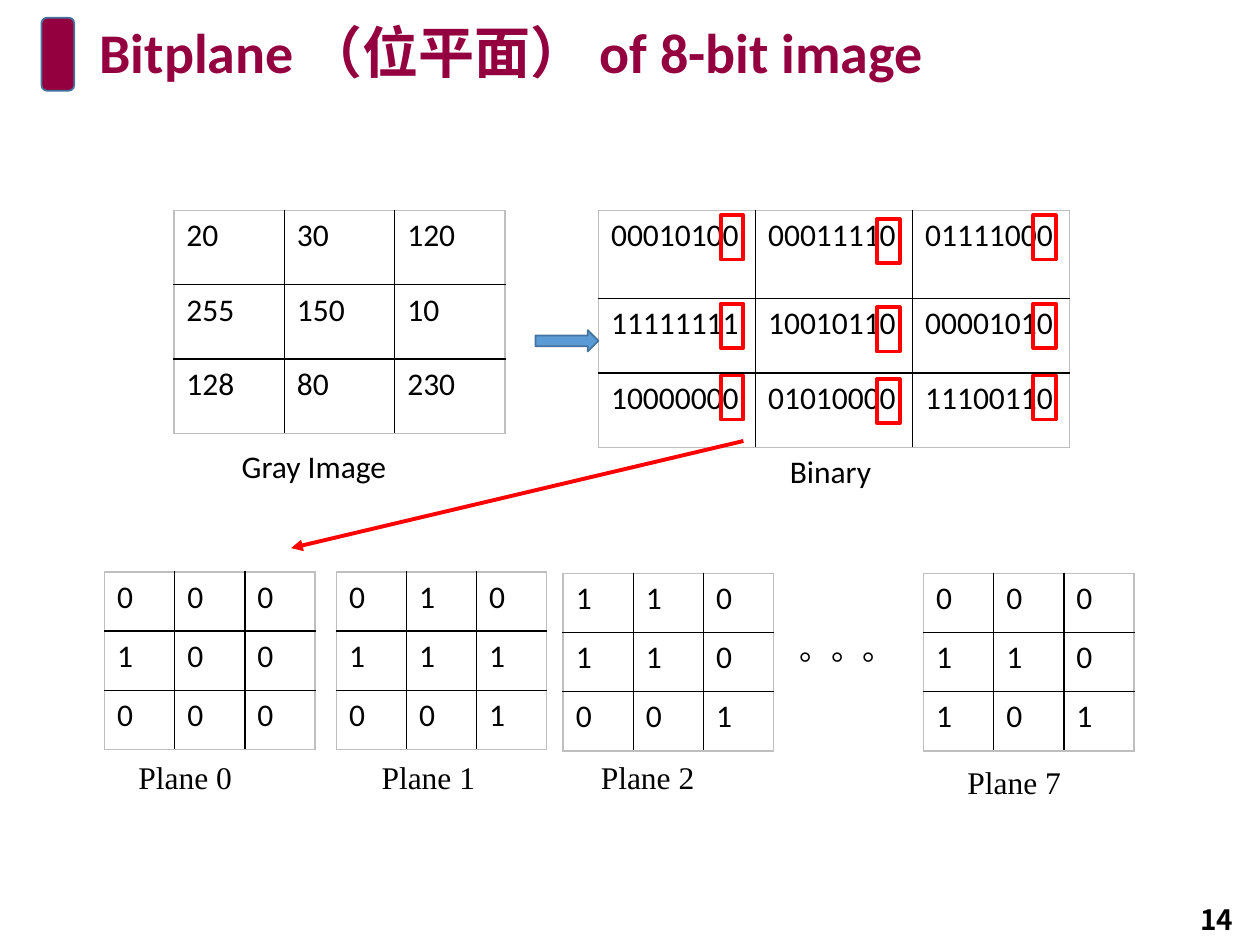
from lxml import etree
from pptx import Presentation
from pptx.dml.color import RGBColor
from pptx.enum.shapes import MSO_CONNECTOR, MSO_SHAPE
from pptx.enum.text import MSO_ANCHOR, MSO_AUTO_SIZE, PP_ALIGN
from pptx.oxml.ns import qn
from pptx.util import Inches, Pt

ROUND, ARROW, RECT = MSO_SHAPE.ROUNDED_RECTANGLE, MSO_SHAPE.RIGHT_ARROW, MSO_SHAPE.RECTANGLE
STRAIGHT = MSO_CONNECTOR.STRAIGHT
MIDDLE, FIT = MSO_ANCHOR.MIDDLE, MSO_AUTO_SIZE.SHAPE_TO_FIT_TEXT
LEFT, CENTER = PP_ALIGN.LEFT, PP_ALIGN.CENTER

COLORS = {"accent": "94003F", "edge": "43739E", "arrow": "5B9BD5",
          "mark": "FF0000", "ink": "000000", "frame": "BFBFBF"}
GRAY = [[20, 30, 120], [255, 150, 10], [128, 80, 230]]
BINARY = [[f"{value:08b}" for value in row] for row in GRAY]
PLANES = [(0, 0.83, 4.54, 1, 5.97), (1, 2.67, 4.54, 2.93, 5.97),
          (2, 4.47, 4.55, 4.67, 5.97), (7, 7.33, 4.55, 7.58, 6.01)]


class Deck:
    """Style and current slide, measured on a grid of 10 columns by 7.5 rows."""

    def __init__(self):
        self.prs = Presentation()
        self.prs.slide_width, self.prs.slide_height = Inches(10), Inches(7.5)
        self.s = self.prs.slides.add_slide(self.prs.slide_layouts[5])

    def grid(self, *lengths):
        return [round(length * self.prs.slide_width / 10) for length in lengths]

    def color(self, name):
        return RGBColor.from_string(COLORS[name])

    def format(self, tf, size=18, font="Calibri", color="ink", bold=False, align=LEFT):
        for p in tf.paragraphs:
            p.alignment = align
            for r in p.runs:
                r.font.size, r.font.name, r.font.bold = Pt(size), font, bold
                r.font.color.rgb = self.color(color)

    def title(self, text, *box):
        sp = self.s.shapes.title
        sp.left, sp.top, sp.width, sp.height = self.grid(*box)
        tf = sp.text_frame
        tf.text = text
        tf.vertical_anchor = MIDDLE
        tf.paragraphs[0].line_spacing = 0.9
        self.format(tf, 32, color="accent", bold=True)

    def text(self, text, *box, **style):
        tf = self.s.shapes.add_textbox(*self.grid(*box)).text_frame
        tf.text = text
        tf.word_wrap, tf.auto_size = False, FIT
        tf.vertical_anchor = MIDDLE
        self.format(tf, **style)

    def shape(self, kind, *box, fill=None, line="edge", width=1, parent=None):
        sp = (parent or self.s).shapes.add_shape(kind, *self.grid(*box))
        sp.shadow.inherit = False
        if fill:
            sp.fill.solid()
            sp.fill.fore_color.rgb = self.color(fill)
        else:
            sp.fill.background()
        sp.line.color.rgb, sp.line.width = self.color(line), Pt(width)

    def marks(self, lefts, tops, width, height, drop):
        group = self.s.shapes.add_group_shape()
        for c, left in enumerate(lefts):
            for top in tops:
                self.shape(RECT, left, top + drop * (c == 1), width, height,
                           line="mark", width=2.25, parent=group)

    def arrow(self, *ends):
        line = self.s.shapes.add_connector(STRAIGHT, *self.grid(*ends))
        line.line.color.rgb, line.line.width = self.color("mark"), Pt(2.25)
        etree.SubElement(line.line._get_or_add_ln(), qn("a:tailEnd"), type="triangle")
        etree.SubElement(line._element.spPr, qn("a:effectLst"))

    def borders(self, cell, outer):
        tcPr = cell._tc.get_or_add_tcPr()
        for side, is_outer in zip("LRTB", outer):
            ln = etree.SubElement(tcPr, qn(f"a:ln{side}"), w=str(Pt(1)))
            fill = etree.SubElement(ln, qn("a:solidFill"))
            etree.SubElement(fill, qn("a:srgbClr"), val=COLORS["frame" if is_outer else "ink"])

    def table(self, rows, left, top, width, heights):
        last_row, last_col = len(rows) - 1, len(rows[0]) - 1
        box = self.grid(left, top, width, sum(heights))
        table = self.s.shapes.add_table(len(rows), len(rows[0]), *box).table
        table.first_row = table.horz_banding = False
        for i, row in enumerate(rows):
            table.rows[i].height = self.grid(heights[i])[0]
            for j, value in enumerate(row):
                cell = table.cell(i, j)
                cell.text = str(value)
                self.format(cell.text_frame)
                self.borders(cell, (j == 0, j == last_col, i == 0, i == last_row))
                cell.fill.background()


def main():
    deck = Deck()
    deck.shape(ROUND, 0.33, 0.14, 0.26, 0.58, fill="accent")
    deck.title("Bitplane （位平面） of 8-bit image", 0.69, 0.15, 8.62, 0.58)
    deck.text("14", 9.23, 7.1, 0.85, 0.4, size=16, font="Noto Sans CJK SC",
              bold=True, align=CENTER)
    deck.table(GRAY, 1.38, 1.67, 2.63, [0.59] * 3)
    deck.table(BINARY, 4.75, 1.67, 3.74, [0.7, 0.59, 0.59])
    deck.shape(ARROW, 4.25, 2.62, 0.5, 0.17, fill="arrow")
    deck.text("Gray Image", 1.82, 3.5, 1.36, 0.4)
    deck.text("Binary", 6.17, 3.54, 0.85, 0.4)
    for bit, left, top, label_left, label_top in PLANES:
        plane = [[value >> bit & 1 for value in row] for row in GRAY]
        deck.table(plane, left, top, 1.67, [0.47] * 3)
        deck.text(f"Plane {bit}", label_left, label_top, 0.97, 0.4, font="Times New Roman")
    deck.text("。。。", 6.25, 4.94, 0.96, 0.4)
    deck.marks([5.72, 6.96, 8.2], [1.71, 2.41, 2.98], 0.18, 0.35, drop=0.03)
    deck.arrow(5.9, 3.5, 2.31, 4.35)
    deck.prs.save("out.pptx")


if __name__ == "__main__":
    main()
